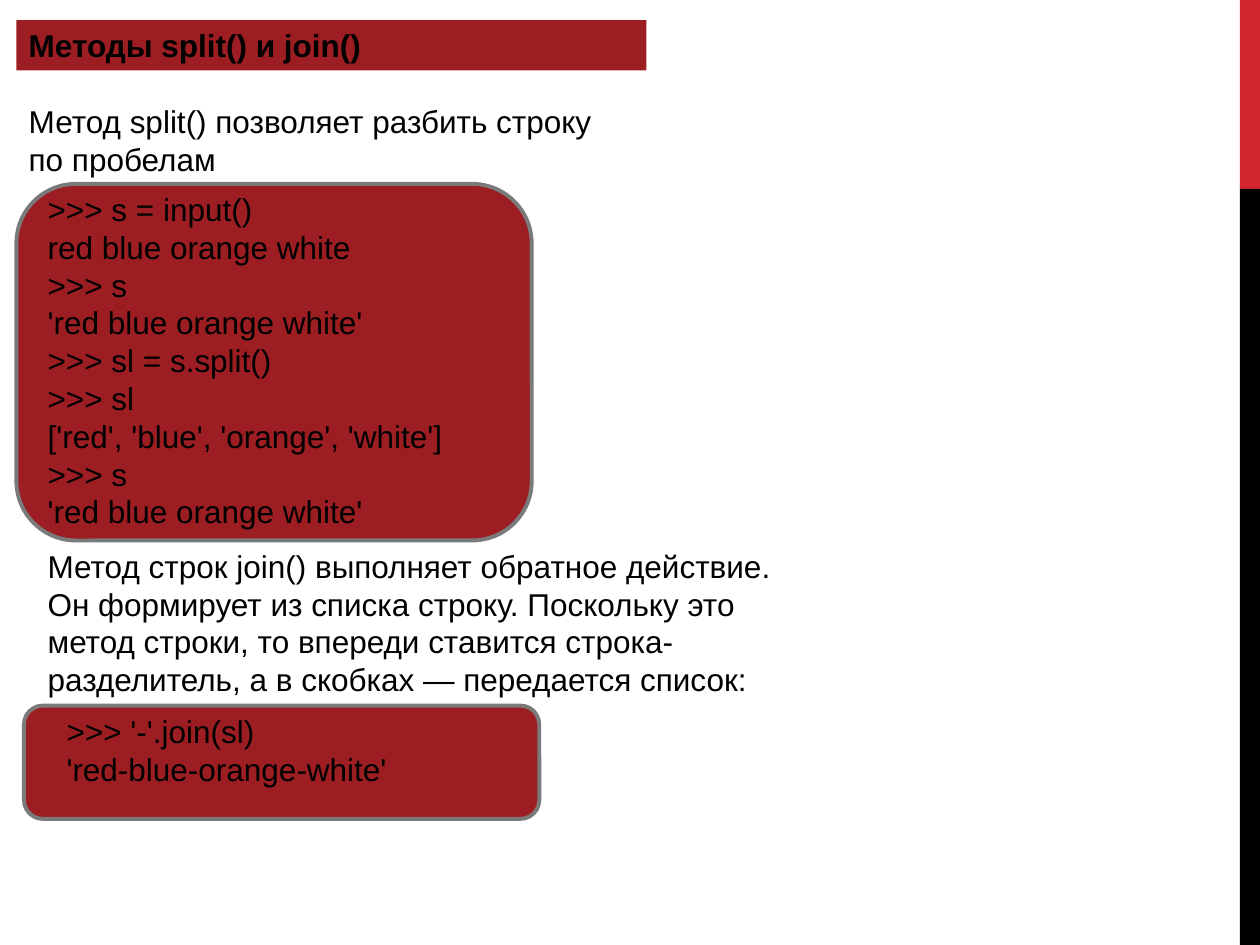
import pptx
import pptx.dml.color
import pptx.enum.shapes
import pptx.enum.text
import pptx.util

PX = 9144  # 100 px to the inch
COLORS = {"bar": "D1282E", "panel": "9D1E22", "border": "7A7A7A", "black": "000000"}
SHAPES = pptx.enum.shapes.MSO_SHAPE

SPLIT_CODE = [
    ">>> s = input()",
    "red blue orange white",
    ">>> s",
    "'red blue orange white'",
    ">>> sl = s.split()",
    ">>> sl",
    "['red', 'blue', 'orange', 'white']",
    ">>> s",
    "'red blue orange white'",
]
JOIN_CODE = [">>> '-'.join(sl)", "'red-blue-orange-white'"]
SPLIT_NOTE = "Метод split() позволяет разбить строку по пробелам"
JOIN_NOTE = (
    "Метод строк join() выполняет обратное действие. Он формирует из списка строку. "
    "Поскольку это метод строки, то впереди ставится строка-разделитель, "
    "а в скобках — передается список:"
)


def rgb(name):
    return pptx.dml.color.RGBColor.from_string(COLORS[name])


def emu(box):
    return [pptx.util.Emu(v * PX) for v in box]


def add_block(s, kind, box, fill, border=None):
    sp = s.shapes.add_shape(kind, *emu(box))
    sp.shadow.inherit = False
    sp.fill.solid()
    sp.fill.fore_color.rgb = rgb(fill)
    if border:
        sp.line.color.rgb = rgb(border)
        sp.line.width = pptx.util.Pt(2.25)
    else:
        sp.line.fill.background()


def add_text(s, box, lines, bold=False):
    sp = s.shapes.add_textbox(*emu(box))
    tf = sp.text_frame
    tf.word_wrap = True
    tf.auto_size = pptx.enum.text.MSO_AUTO_SIZE.SHAPE_TO_FIT_TEXT
    for i, line in enumerate(lines):
        p = tf.add_paragraph() if i else tf.paragraphs[0]
        r = p.add_run()
        r.text = line
        r.font.name = "Arial"
        r.font.size = pptx.util.Pt(18)
        r.font.bold = bold
        r.font.color.rgb = rgb("black")
    return sp


def add_side_bar(s, box, red_height):
    x, y, w, h = box
    add_block(s, SHAPES.RECTANGLE, (x, y, w, red_height), "bar")
    add_block(s, SHAPES.RECTANGLE, (x, y + red_height, w, h - red_height), "black")


def add_title(s, box, title):
    sp = add_text(s, box, [title], bold=True)
    sp.fill.solid()
    sp.fill.fore_color.rgb = rgb("panel")


def add_code(s, box, lines, indent, text_height):
    """Rounded panel with code lines that start indent px from its left side."""
    x, y, w, h = box
    add_block(s, SHAPES.ROUNDED_RECTANGLE, box, "panel", "border")
    add_text(s, (x + indent, y, 500, text_height), lines)


def main():
    prs = pptx.Presentation()
    prs.slide_width, prs.slide_height = emu((1000, 750))
    s = prs.slides.add_slide(prs.slide_layouts[6])
    add_side_bar(s, (984, 0, 16, 750), 150)
    add_title(s, (13, 16, 500, 40), "Методы split() и join()")
    add_text(s, (13, 76, 500, 71), [SPLIT_NOTE])
    add_code(s, (13, 146, 409, 283), SPLIT_CODE, 15, 283)
    add_text(s, (28, 429, 606, 131), [JOIN_NOTE])
    add_code(s, (19, 560, 409, 90), JOIN_CODE, 24, 71)
    prs.save("out.pptx")


if __name__ == "__main__":
    main()
